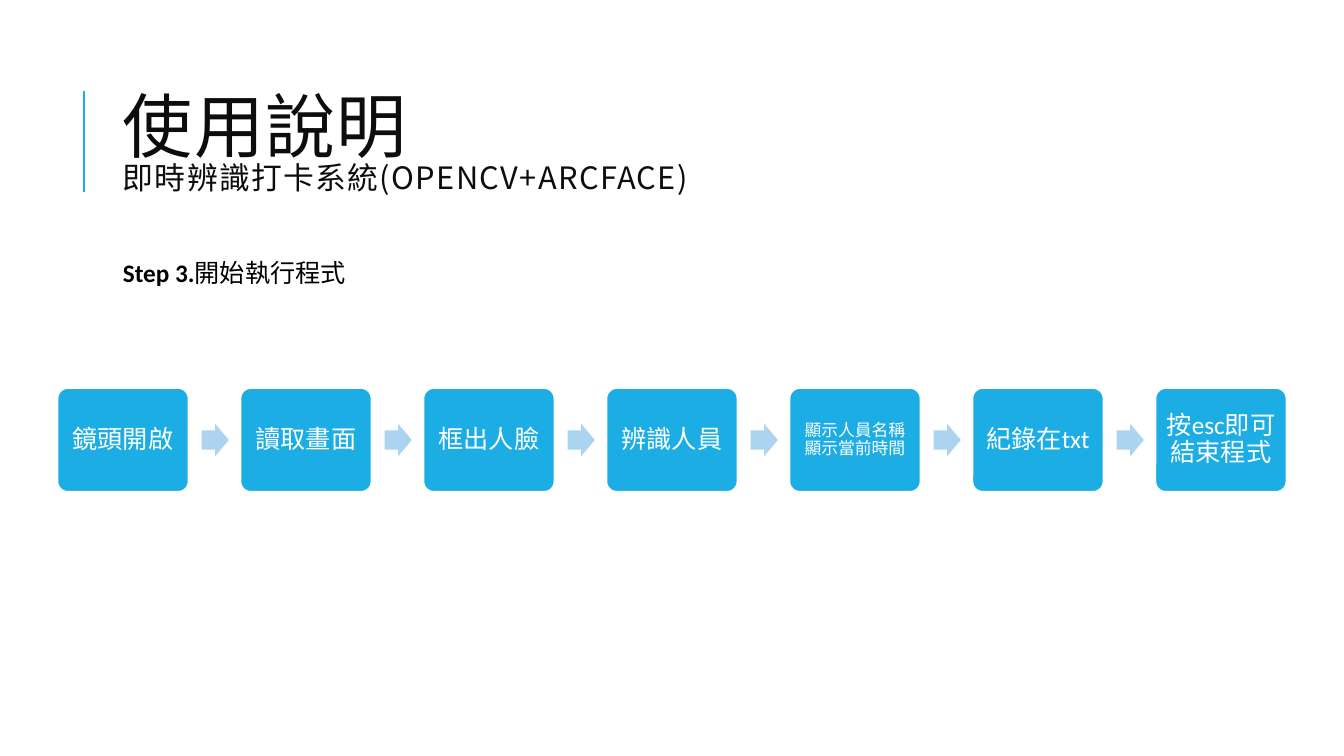
from pptx import Presentation
from pptx.dml.color import RGBColor
from pptx.enum.shapes import MSO_CONNECTOR, MSO_SHAPE
from pptx.enum.text import MSO_ANCHOR, PP_ALIGN
from pptx.oxml.ns import qn
from pptx.util import Inches, Pt
from lxml import etree

BLUE = RGBColor(0x1C, 0xAD, 0xE4)
PALE = RGBColor(0xAC, 0xD3, 0xEF)
WHITE = RGBColor(0xFF, 0xFF, 0xFF)
BLACK = RGBColor(0, 0, 0)
INK = RGBColor(0x0D, 0x0D, 0x0D)
CJK = "Noto Sans CJK TC"
LATIN = "Calibri"

ROUND = MSO_SHAPE.ROUNDED_RECTANGLE
ARROW = MSO_SHAPE.RIGHT_ARROW
LINE = MSO_CONNECTOR.STRAIGHT
MIDDLE = MSO_ANCHOR.MIDDLE
CENTER = PP_ALIGN.CENTER

# Flow grid, in inches
LEFT, PITCH, AXIS = 0.57, 1.815, 4.365
BOX_W, BOX_H = 1.3, 1.03
TIP_W, TIP_H = 0.27, 0.32
TIP_X = BOX_W + 0.13

STEPS = [
    ("鏡頭開啟", 18),
    ("讀取畫面", 18),
    ("框出人臉", 18),
    ("辨識人員", 18),
    ("顯示人員名稱\v顯示當前時間", 12),
    ("紀錄在txt", 18),
    ("按esc即可結束程式", 18),
]


def set_font(par, face, size, color):
    """Set the paragraph font, with the CJK face for East Asian text."""
    font = par.font
    font.name, font.size = face, Pt(size)
    font.color.rgb = color
    props = par._p.pPr.find(qn("a:defRPr"))
    etree.SubElement(props, qn("a:ea")).set("typeface", CJK)


def add_text(slide, x, y, w, h):
    """Add a wrapping text box and return its frame."""
    box = slide.shapes.add_textbox(Inches(x), Inches(y), Inches(w), Inches(h))
    box.text_frame.word_wrap = True
    return box.text_frame


def add_run(par, text):
    run = par.add_run()
    run.text = text
    return run


def add_rule(slide, x, top, end):
    rule = slide.shapes.add_connector(
        LINE, Inches(x), Inches(end), Inches(x), Inches(top))
    rule.line.color.rgb = BLUE
    rule.line.width = Pt(1.5)
    etree.SubElement(rule._element.spPr, qn("a:effectLst"))


def add_title(slide):
    frame = add_text(slide, 1.12, 0.64, 10.63, 1.64)
    frame.vertical_anchor = MIDDLE
    par = frame.paragraphs[0]
    par.line_spacing = 0.8
    set_font(par, CJK, 22, INK)
    head = add_run(par, "使用說明")
    head.font.size = Pt(50)
    par.add_line_break()
    add_run(par, "即時辨識打卡系統(OPENCV+ARCFACE)")
    for run in par.runs:
        run._r.get_or_add_rPr().set("spc", "100")


def add_lead(slide):
    par = add_text(slide, 1.12, 2.5, 5.11, 0.4).paragraphs[0]
    set_font(par, LATIN, 18, BLACK)
    add_run(par, "Step 3.").font.bold = True
    add_run(par, "開始執行程式")


def add_block(slide, kind, x, w, h, fill):
    """Add a filled shape centred on the flow axis."""
    block = slide.shapes.add_shape(
        kind, Inches(x), Inches(AXIS - h / 2), Inches(w), Inches(h))
    block.shadow.inherit = False
    block.fill.solid()
    block.fill.fore_color.rgb = fill
    return block


def add_step(slide, x, text, size):
    box = add_block(slide, ROUND, x, BOX_W, BOX_H, BLUE)
    box.adjustments[0] = 0.1
    box.line.color.rgb = WHITE
    box.line.width = Pt(1.25)
    frame = box.text_frame
    frame.word_wrap = True
    frame.vertical_anchor = MIDDLE
    pad = Inches(0.07 if size > 12 else 0.05)
    frame.margin_left = frame.margin_right = pad
    frame.margin_top = frame.margin_bottom = pad
    par = frame.paragraphs[0]
    par.text = text
    par.alignment = CENTER
    par.line_spacing = 0.9
    set_font(par, LATIN, size, WHITE)


def add_tip(slide, x):
    tip = add_block(slide, ARROW, x, TIP_W, TIP_H, PALE)
    tip.adjustments[0] = 0.6
    tip.adjustments[1] = 0.5
    tip.line.fill.background()


def main():
    deck = Presentation()
    deck.slide_width, deck.slide_height = Inches(13.33), Inches(7.5)
    slide = deck.slides.add_slide(deck.slide_layouts[6])
    add_rule(slide, 0.83, 0.9, 1.9)
    add_title(slide)
    add_lead(slide)
    for i, (text, size) in enumerate(STEPS):
        x = LEFT + i * PITCH
        if i:
            add_tip(slide, x - PITCH + TIP_X)
        add_step(slide, x, text, size)
    deck.save("out.pptx")


if __name__ == "__main__":
    main()
